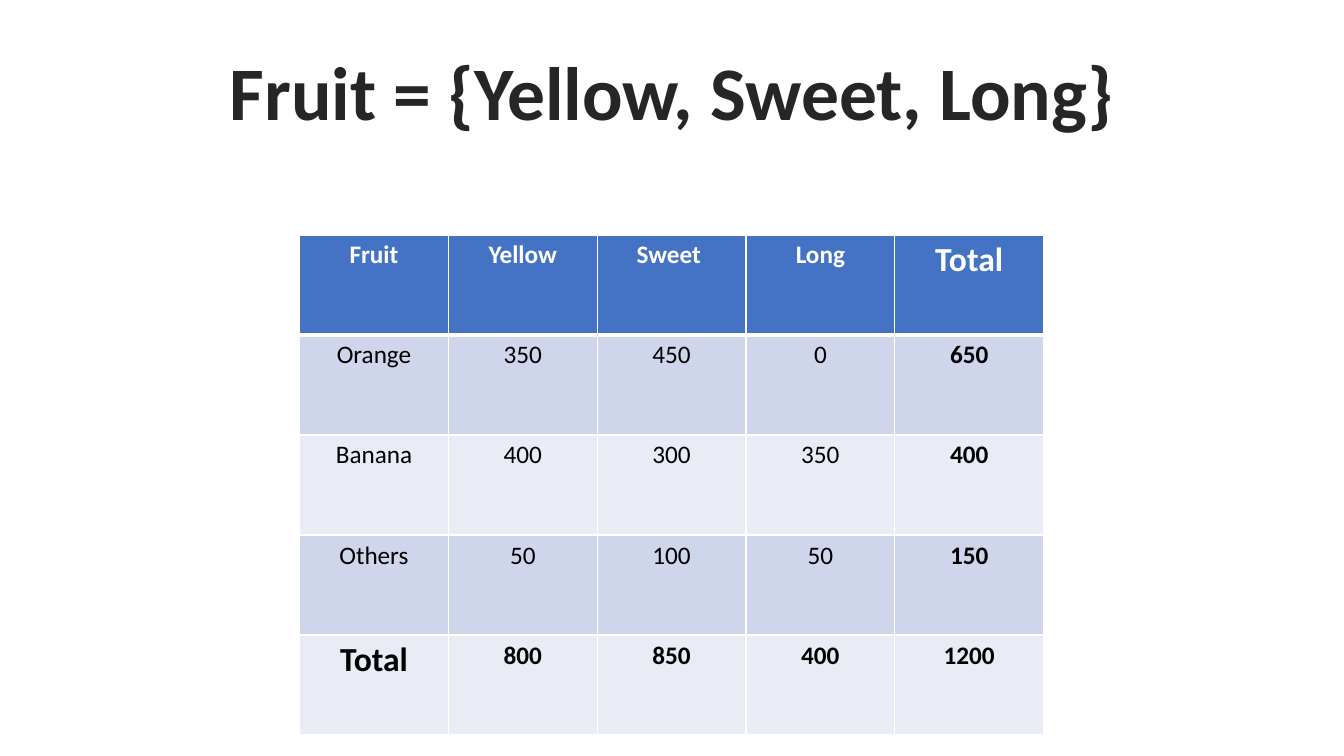
from lxml import etree
from pptx import Presentation
from pptx.dml.color import RGBColor
from pptx.enum.text import MSO_ANCHOR, MSO_AUTO_SIZE, PP_ALIGN
from pptx.oxml.ns import qn
from pptx.util import Cm, Pt

CENTER = PP_ALIGN.CENTER
MIDDLE = MSO_ANCHOR.MIDDLE
FIT_SHAPE = MSO_AUTO_SIZE.SHAPE_TO_FIT_TEXT
TITLE_ONLY = 5

FONT = "Calibri"
WHITE, BLACK, DARK_GREY = "FFFFFF", "000000", "262626"
HEADER_BLUE = "4472C4"
BANDS = ("E9EBF5", "CFD5EA")
COLUMN_WIDTH, ROW_HEIGHT = Cm(3.75), Cm(2.52)

FRUIT_ROWS = [
    ["Fruit", "Yellow", "Sweet ", "Long", "Total"],
    ["Orange", "350", "450", "0", "650"],
    ["Banana", "400", "300", "350", "400"],
    ["Others", "50", "100", "50", "150"],
    ["Total", "800", "850", "400", "1200"],
]


def color(hex_string):
    return RGBColor.from_string(hex_string)


def write_text(text_frame, text, *, size, color_hex, bold=False):
    paragraph = text_frame.paragraphs[0]
    paragraph.alignment = CENTER
    run = paragraph.add_run()
    run.text = text
    run.font.name = FONT
    run.font.size = Pt(size)
    run.font.bold = bold
    run.font.color.rgb = color(color_hex)


def add_borders(cell, widths):
    """Draw white borders; widths maps each side tag to points."""
    properties = cell._tc.get_or_add_tcPr()
    for side, width in widths.items():
        line = etree.SubElement(properties, qn(f"a:{side}"), w=str(Pt(width)))
        fill = etree.SubElement(line, qn("a:solidFill"))
        etree.SubElement(fill, qn("a:srgbClr"), val=WHITE)


def add_title(slide, text):
    title = slide.shapes.title
    title.left, title.top = Cm(5.41), Cm(0.99)
    title.width, title.height = Cm(23.04), Cm(2.57)
    text_frame = title.text_frame
    text_frame.word_wrap = False
    text_frame.auto_size = FIT_SHAPE
    text_frame.vertical_anchor = MIDDLE
    write_text(text_frame, text, size=54, color_hex=DARK_GREY, bold=True)


def add_fruit_table(slide, rows):
    row_count, column_count = len(rows), len(rows[0])
    table = slide.shapes.add_table(
        row_count, column_count, Cm(7.55), Cm(5.92),
        COLUMN_WIDTH * column_count, ROW_HEIGHT * row_count).table
    for column in table.columns:
        column.width = COLUMN_WIDTH
    for row_index, values in enumerate(rows):
        table.rows[row_index].height = ROW_HEIGHT
        is_header = row_index == 0
        is_total_row = row_index == row_count - 1
        for column_index, text in enumerate(values):
            cell = table.cell(row_index, column_index)
            is_total_column = column_index == column_count - 1
            add_borders(cell, {"lnL": 1, "lnR": 1,
                               "lnT": 3 if row_index == 1 else 1,
                               "lnB": 3 if is_header else 1})
            cell.fill.solid()
            cell.fill.fore_color.rgb = color(
                HEADER_BLUE if is_header else BANDS[row_index % 2])
            write_text(cell.text_frame, text,
                       size=24 if text == "Total" else 18,
                       color_hex=WHITE if is_header else BLACK,
                       bold=is_header or is_total_row or is_total_column)


def main():
    presentation = Presentation()
    presentation.slide_width, presentation.slide_height = Cm(33.87), Cm(19.05)
    slide = presentation.slides.add_slide(presentation.slide_layouts[TITLE_ONLY])
    add_fruit_table(slide, FRUIT_ROWS)
    add_title(slide, "Fruit = {Yellow, Sweet, Long}")
    presentation.save("out.pptx")


if __name__ == "__main__":
    main()
